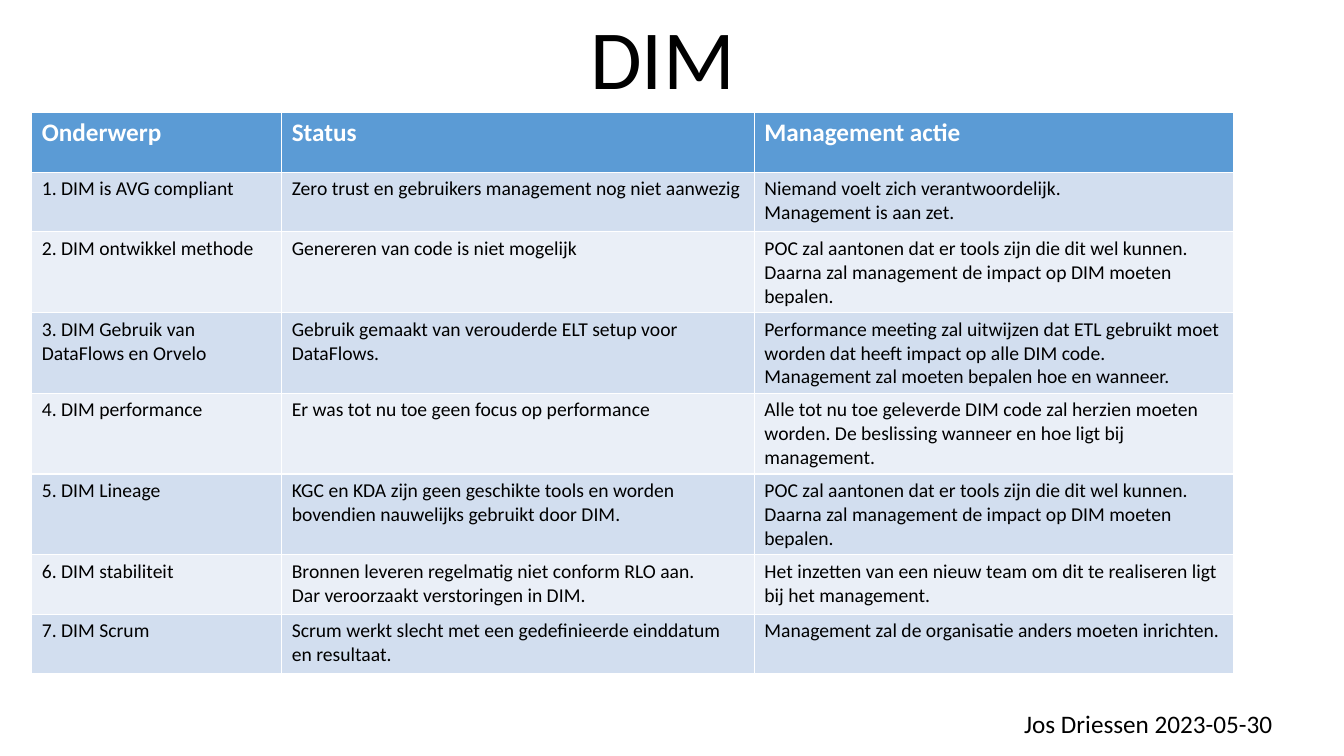
from pptx import Presentation, util as u
from pptx.dml.color import RGBColor
from pptx.enum import text

BLACK = RGBColor(0x00, 0x00, 0x00)
WHITE = RGBColor(0xFF, 0xFF, 0xFF)
HEADER_BLUE = RGBColor(0x5B, 0x9B, 0xD5)
BANDS = (RGBColor(0xD2, 0xDE, 0xEF), RGBColor(0xEA, 0xEF, 0xF7))

COLUMN_WIDTHS = (6.3, 11.91, 12.07)
ROW_HEIGHT = 1.5
HEADINGS = ("Onderwerp", "Status", "Management actie")
POC_ACTION = (
    "POC zal aantonen dat er tools zijn die dit wel kunnen. "
    "Daarna zal management de impact op DIM moeten bepalen."
)
TOPICS = (
    ("1. DIM is AVG compliant",
     "Zero trust en gebruikers management nog niet aanwezig",
     "Niemand voelt zich verantwoordelijk.\vManagement is aan zet."),
    ("2. DIM ontwikkel methode",
     "Genereren van code is niet mogelijk",
     POC_ACTION),
    ("3. DIM Gebruik van DataFlows en Orvelo",
     "Gebruik gemaakt van verouderde ELT setup voor DataFlows.",
     "Performance meeting zal uitwijzen dat ETL gebruikt moet worden dat "
     "heeft impact op alle DIM code.\v"
     "Management zal moeten bepalen hoe en wanneer."),
    ("4. DIM performance",
     "Er was tot nu toe geen focus op performance",
     "Alle tot nu toe geleverde DIM code zal herzien moeten worden. "
     "De beslissing wanneer en hoe ligt bij management."),
    ("5. DIM Lineage",
     "KGC en KDA zijn geen geschikte tools en worden bovendien nauwelijks "
     "gebruikt door DIM.",
     POC_ACTION),
    ("6. DIM stabiliteit",
     "Bronnen leveren regelmatig niet conform RLO aan.\n"
     "Dar veroorzaakt verstoringen in DIM.",
     "Het inzetten van een nieuw team om dit te realiseren ligt bij het "
     "management."),
    ("7. DIM Scrum",
     "Scrum werkt slecht met een gedefinieerde einddatum en resultaat.",
     "Management zal de organisatie anders moeten inrichten."),
)


def write(frame, wording, size=14, color=BLACK, bold=False,
          align=text.PP_ALIGN.LEFT, line_spacing=None):
    frame.text = wording
    for paragraph in frame.paragraphs:
        paragraph.alignment = align
        if line_spacing:
            paragraph.line_spacing = line_spacing
        for run in paragraph.runs:
            run.font.name = "Calibri"
            run.font.size = u.Pt(size)
            run.font.bold = bold
            run.font.color.rgb = color


def add_title(slide, wording):
    title = slide.shapes.title
    title.left, title.top = u.Cm(4), u.Cm(0.03)
    title.width, title.height = u.Cm(25.4), u.Cm(2.82)
    frame = title.text_frame
    frame.auto_size = text.MSO_AUTO_SIZE.NONE
    frame.vertical_anchor = text.MSO_ANCHOR.BOTTOM
    write(frame, wording, size=60, align=text.PP_ALIGN.CENTER,
          line_spacing=0.9)


def add_signature(slide, wording):
    signature = slide.shapes.add_textbox(
        u.Cm(25.56), u.Cm(17.73), u.Cm(6.83), u.Cm(1.03))
    frame = signature.text_frame
    frame.word_wrap = False
    frame.auto_size = text.MSO_AUTO_SIZE.SHAPE_TO_FIT_TEXT
    write(frame, wording, size=18)


def fill_row(row, wordings, fill, **text_format):
    row.height = u.Cm(ROW_HEIGHT)
    for cell, wording in zip(row.cells, wordings):
        cell.fill.solid()
        cell.fill.fore_color.rgb = fill
        write(cell.text_frame, wording, **text_format)


def add_status_table(slide):
    row_count = len(TOPICS) + 1
    status_table = slide.shapes.add_table(
        row_count, len(HEADINGS), u.Cm(0.8), u.Cm(2.84),
        u.Cm(sum(COLUMN_WIDTHS)), u.Cm(ROW_HEIGHT * row_count)).table
    for column, width in zip(status_table.columns, COLUMN_WIDTHS):
        column.width = u.Cm(width)
    header, *topic_rows = status_table.rows
    fill_row(header, HEADINGS, HEADER_BLUE, size=18, color=WHITE, bold=True)
    for index, (row, topic) in enumerate(zip(topic_rows, TOPICS)):
        fill_row(row, topic, BANDS[index % 2])


def main():
    deck = Presentation()
    deck.slide_width, deck.slide_height = u.Cm(33.87), u.Cm(19.05)
    slide = deck.slides.add_slide(deck.slide_layouts.get_by_name("Title Only"))
    add_title(slide, "DIM")
    add_signature(slide, "Jos Driessen 2023-05-30")
    add_status_table(slide)
    deck.save("out.pptx")


if __name__ == "__main__":
    main()
